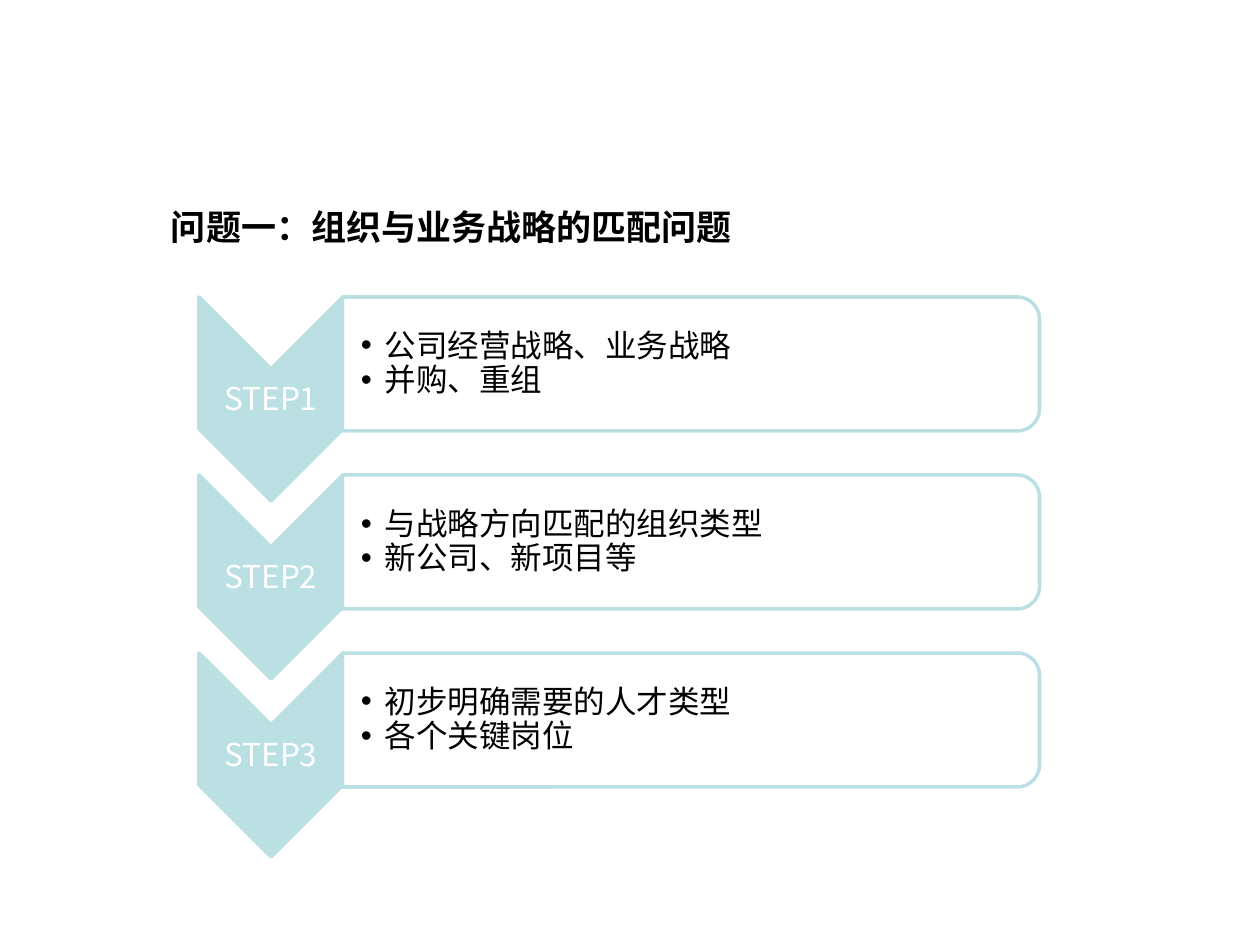
from lxml import etree
from pptx import Presentation
from pptx.dml.color import RGBColor
from pptx.enum.shapes import MSO_SHAPE
from pptx.enum.text import MSO_ANCHOR, MSO_AUTO_SIZE, PP_ALIGN
from pptx.oxml.ns import qn
from pptx.util import Emu, Pt

CHEVRON, ROUND_TOP = MSO_SHAPE.CHEVRON, MSO_SHAPE.ROUND_2_SAME_RECTANGLE
TOP, MIDDLE = MSO_ANCHOR.TOP, MSO_ANCHOR.MIDDLE
LEFT, CENTER = PP_ALIGN.LEFT, PP_ALIGN.CENTER
FIXED_SIZE = MSO_AUTO_SIZE.NONE

EMU_PER_PX = 914400 / 126
THEME = {
    "font": "Noto Sans CJK SC",
    "accent": RGBColor(0xBB, 0xE0, 0xE3),
    "dark": RGBColor(0, 0, 0),
    "light": RGBColor(0xFF, 0xFF, 0xFF),
    "title_size": Pt(20),
    "text_size": Pt(18),
    "outline": Pt(2),
}

STEPS = [
    ("STEP1", ["公司经营战略、业务战略", "并购、重组"]),
    ("STEP2", ["与战略方向匹配的组织类型", "新公司、新项目等"]),
    ("STEP3", ["初步明确需要的人才类型", "各个关键岗位"]),
]
STEP_TOP, STEP_PITCH = 296, 178
LIST_PLACEHOLDERS = [1, 2, 4]
UNUSED_PLACEHOLDER = 3


def px(*lengths):
    return [Emu(round(length * EMU_PER_PX)) for length in lengths]


def write_text(holder, lines, *, box, size, color, bold=False, align=LEFT,
               anchor=MIDDLE, insets=(1, 1, 1, 1), spacing=0.9, bullet_indent=0):
    """Place holder at box (left, top, width, height in px) and fill it."""
    holder.left, holder.top, holder.width, holder.height = px(*box)
    frame = holder.text_frame
    frame.word_wrap = True
    frame.auto_size = FIXED_SIZE
    frame.vertical_anchor = anchor
    (frame.margin_left, frame.margin_top,
     frame.margin_right, frame.margin_bottom) = px(*insets)
    frame.text = "\n".join(lines)
    for paragraph in frame.paragraphs:
        paragraph.alignment = align
        paragraph.line_spacing = spacing
        paragraph.space_before = paragraph.space_after = Pt(0)
        properties = paragraph._p.get_or_add_pPr()
        indent = px(bullet_indent)[0]
        properties.set("marL", str(indent))
        properties.set("indent", str(-indent))
        if bullet_indent:
            etree.SubElement(properties, qn("a:buChar"), char="•")
        run = paragraph.runs[0]
        run.font.name = THEME["font"]
        run.font.size = size
        run.font.bold = bold
        run.font.color.rgb = color
        etree.SubElement(run._r.get_or_add_rPr(), qn("a:ea"), typeface=THEME["font"])


prs = Presentation()
prs.slide_width, prs.slide_height = px(1260, 945)
slide = prs.slides.add_slide(prs.slide_layouts.get_by_name("Comparison"))
placeholders = {item.placeholder_format.idx: item for item in slide.placeholders}
tree = slide.shapes.element
tree.remove(placeholders[UNUSED_PLACEHOLDER].element)

write_text(slide.shapes.title, ["问题一：组织与业务战略的匹配问题"],
           box=(158, 199, 809, 97), size=THEME["title_size"], color=THEME["dark"],
           bold=True, anchor=TOP, insets=(13, 6, 13, 6), spacing=1.0)

for row, (step_name, points) in enumerate(STEPS):
    top = STEP_TOP + row * STEP_PITCH

    # Both outlines are turned by 90 degrees around their centres.
    for preset, center_x, center_y, width, height, fill in (
        (CHEVRON, 271, top + 103, 204, 144, THEME["accent"]),
        (ROUND_TOP, 691, top + 68, 134, 697, THEME["light"]),
    ):
        outline = slide.shapes.add_shape(
            preset, *px(center_x - width / 2, center_y - height / 2, width, height))
        outline.rotation = 90
        outline.shadow.inherit = False
        outline.fill.solid()
        outline.fill.fore_color.rgb = fill
        outline.line.color.rgb = THEME["accent"]
        outline.line.width = THEME["outline"]
    # The frame, drawn last, is slightly see-through.
    frame_color = outline.fill._xPr.find(qn("a:solidFill"))[0]
    etree.SubElement(frame_color, qn("a:alpha"), val="90000")

    step_label = slide.shapes.add_textbox(0, 0, 0, 0)
    write_text(step_label, [step_name], box=(199, top + 73, 144, 62),
               size=THEME["text_size"], color=THEME["light"], align=CENTER)

    point_list = placeholders[LIST_PLACEHOLDERS[row]]
    tree.append(point_list.element)  # bring in front of the frame
    write_text(point_list, points, box=(343, top + 8, 690, 120),
               size=THEME["text_size"], color=THEME["dark"],
               insets=(18, 1, 1, 1), bullet_indent=24)

prs.save("out.pptx")
